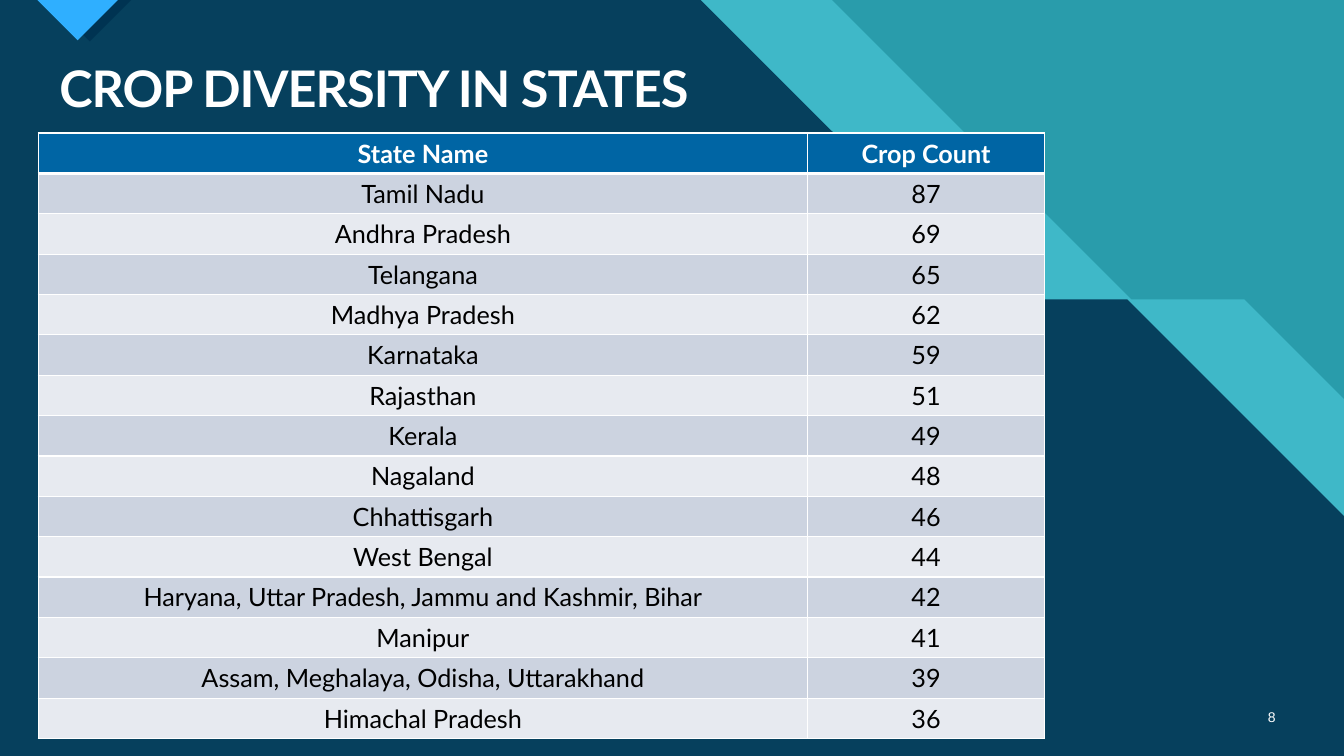
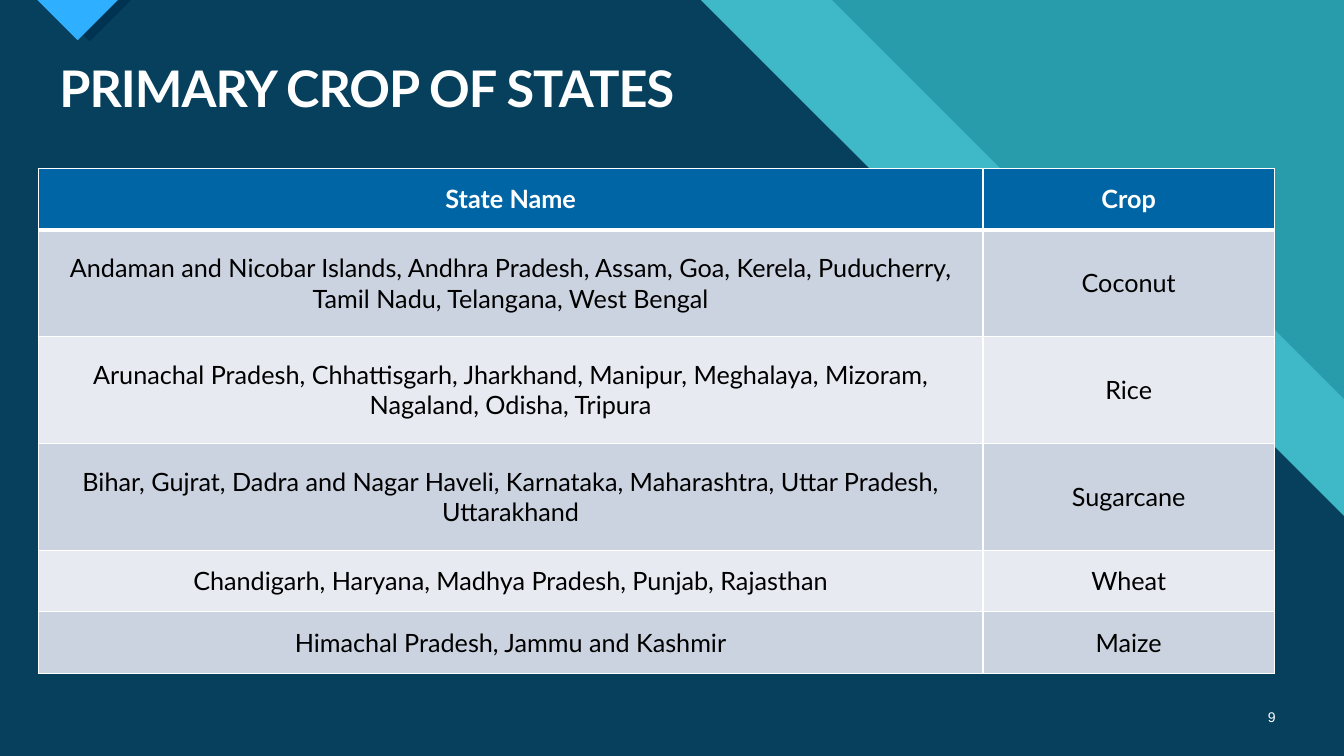
from lxml.etree import Element, SubElement
from pptx import Presentation
from pptx.dml.color import RGBColor
from pptx.enum.text import MSO_ANCHOR, PP_ALIGN
from pptx.oxml.ns import qn
from pptx.util import Inches, Pt

MIDDLE, TOP = MSO_ANCHOR.MIDDLE, MSO_ANCHOR.TOP
LEFT, CENTER, RIGHT = PP_ALIGN.LEFT, PP_ALIGN.CENTER, PP_ALIGN.RIGHT

WHITE = RGBColor(0xFF, 0xFF, 0xFF)
BLACK = RGBColor(0x00, 0x00, 0x00)
TEAL = RGBColor(0x29, 0x9C, 0xAB)
AQUA = RGBColor(0x47, 0xC3, 0xD3)
NAVY = RGBColor(0x00, 0x33, 0x52)
SKY = RGBColor(0x2F, 0xAF, 0xFF)
HEADER_BLUE = RGBColor(0x00, 0x65, 0xA4)
BAND_DARK = RGBColor(0xCC, 0xD3, 0xE0)
BAND_LIGHT = RGBColor(0xE7, 0xEA, 0xF0)

BODY_FONT, NUMBER_FONT = "Lato", "Arial"
WIDTH, HEIGHT = 13.33, 7.5
FOLD = 2.97
TITLE_BOX = (0.49, 0.59, 12.26, 0.65)
NUMBER_BOX = (12.31, 6.91, 0.44, 0.4)

CROP_COUNTS = [
    ("State Name", "Crop Count"),
    ("Tamil Nadu", "87"),
    ("Andhra Pradesh", "69"),
    ("Telangana", "65"),
    ("Madhya Pradesh", "62"),
    ("Karnataka", "59"),
    ("Rajasthan", "51"),
    ("Kerala", "49"),
    ("Nagaland", "48"),
    ("Chhattisgarh", "46"),
    ("West Bengal", "44"),
    ("Haryana, Uttar Pradesh, Jammu and Kashmir, Bihar", "42"),
    ("Manipur", "41"),
    ("Assam, Meghalaya, Odisha, Uttarakhand", "39"),
    ("Himachal Pradesh", "36"),
]
PRIMARY_CROPS = [
    ("State Name", "Crop"),
    ("Andaman and Nicobar Islands, Andhra Pradesh, Assam, Goa, Kerela, "
     "Puducherry, Tamil Nadu, Telangana, West Bengal", "Coconut"),
    ("Arunachal Pradesh, Chhattisgarh, Jharkhand, Manipur, Meghalaya, "
     "Mizoram, Nagaland, Odisha, Tripura", "Rice"),
    ("Bihar, Gujrat, Dadra and Nagar Haveli, Karnataka, Maharashtra, "
     "Uttar Pradesh, Uttarakhand", "Sugarcane"),
    ("Chandigarh, Haryana, Madhya Pradesh, Punjab, Rajasthan", "Wheat"),
    ("Himachal Pradesh, Jammu and Kashmir", "Maize"),
]


def add_run(paragraph, text, size, color, font=BODY_FONT, bold=False):
    """Append one styled run and return it."""
    run = paragraph.add_run()
    run.text = text
    run.font.name = font
    run.font.size = Pt(size)
    run.font.bold = bold
    run.font.color.rgb = color
    return run


def add_text_box(slide, box, anchor, align):
    """Add a wrapping text box and return its first paragraph."""
    frame = slide.shapes.add_textbox(*map(Inches, box)).text_frame
    frame.word_wrap = True
    frame.vertical_anchor = anchor
    paragraph = frame.paragraphs[0]
    paragraph.alignment = align
    return paragraph


def add_polygon(slide, points, color, opacity=100):
    """Draw a closed outline without a line, opacity in percent."""
    start, *rest = [(Inches(x), Inches(y)) for x, y in points]
    builder = slide.shapes.build_freeform(*start)
    builder.add_line_segments(rest, close=True)
    polygon = builder.convert_to_shape()
    polygon.shadow.inherit = False
    polygon.fill.solid()
    polygon.fill.fore_color.rgb = color
    polygon.line.fill.background()
    if opacity < 100:
        tint = polygon._element.spPr.find(qn("a:solidFill"))[0]
        SubElement(tint, qn("a:alpha")).set("val", str(opacity * 1000))


def add_folded_sheet(slide, top_edge, fold_end, color, opacity):
    """Cover the slide left of a diagonal that steps right at the fold."""
    points = [
        (0, 0), (top_edge, 0), (top_edge + FOLD, FOLD), (fold_end, FOLD),
        (WIDTH, FOLD + WIDTH - fold_end), (WIDTH, HEIGHT), (0, HEIGHT),
    ]
    add_polygon(slide, points, color, opacity)


def add_corner_tip(slide, left, depth, color):
    """Draw a downward tip hanging from the top edge."""
    add_polygon(slide, [(left, 0), (left + 2 * depth, 0),
                        (left + depth, depth)], color)


def add_backdrop(slide):
    """Paint the background, diagonal sheets and corner tip."""
    slide.background.fill.solid()
    slide.background.fill.fore_color.rgb = TEAL
    add_folded_sheet(slide, 8.25, 12.34, AQUA, 74)
    add_folded_sheet(slide, 6.95, 11.18, NAVY, 90)
    add_corner_tip(slide, 0.48, 0.41, NAVY)
    add_corner_tip(slide, 0.37, 0.4, SKY)


def add_title(slide, box, title):
    """Write the slide title."""
    paragraph = add_text_box(slide, box, TOP, LEFT)
    paragraph.line_spacing = 0.9
    run = add_run(paragraph, title, 36, WHITE, bold=True)
    run._r.get_or_add_rPr().set("spc", "-70")


def add_page_number(slide, box, number):
    """Write the page number."""
    paragraph = add_text_box(slide, box, MIDDLE, RIGHT)
    add_run(paragraph, str(number), 10, WHITE, NUMBER_FONT)


def set_borders(cell, top, bottom):
    """Give a cell white borders, with top and bottom widths in points."""
    properties = cell._tc.get_or_add_tcPr()
    widths = {"lnL": 1, "lnR": 1, "lnT": top, "lnB": bottom}
    for position, (side, width) in enumerate(widths.items()):
        border = Element(qn(f"a:{side}"), w=str(Pt(width)))
        fill = SubElement(border, qn("a:solidFill"))
        SubElement(fill, qn("a:srgbClr")).set("val", str(WHITE))
        properties.insert(position, border)


def fill_cell(cell, text, row_index):
    """Style one cell by its row and write its text."""
    header = row_index == 0
    cell.fill.solid()
    cell.fill.fore_color.rgb = (
        HEADER_BLUE if header else BAND_DARK if row_index % 2 else BAND_LIGHT)
    set_borders(cell, 3 if row_index == 1 else 1, 3 if header else 1)
    cell.vertical_anchor = MIDDLE
    paragraph = cell.text_frame.paragraphs[0]
    paragraph.alignment = CENTER
    add_run(paragraph, text, 18, WHITE if header else BLACK, bold=header)


def add_state_table(slide, left, top, widths, heights, records):
    """Place a table of states at the given corner."""
    box = (left, top, sum(widths), sum(heights))
    table = slide.shapes.add_table(
        len(records), len(widths), *map(Inches, box)).table
    table.horz_banding = False
    for column, width in zip(table.columns, widths):
        column.width = Inches(width)
    for row_index, (record, height) in enumerate(zip(records, heights)):
        table.rows[row_index].height = Inches(height)
        for column_index, text in enumerate(record):
            fill_cell(table.cell(row_index, column_index), text, row_index)


def add_table_slide(deck, number, title, top, widths, heights, records):
    """Build one slide with a title, a table and a page number."""
    slide = deck.slides.add_slide(deck.slide_layouts[6])
    add_backdrop(slide)
    add_title(slide, TITLE_BOX, title)
    add_page_number(slide, NUMBER_BOX, number)
    add_state_table(slide, 0.38, top, widths, heights, records)


def main():
    """Build and save the deck."""
    deck = Presentation()
    deck.slide_width, deck.slide_height = Inches(WIDTH), Inches(HEIGHT)
    add_table_slide(deck, 8, "CROP DIVERSITY IN STATES", 1.32, (7.63, 2.35),
                    [0.4] * len(CROP_COUNTS), CROP_COUNTS)
    add_table_slide(deck, 9, "PRIMARY CROP OF STATES", 1.67, (9.37, 2.89),
                    [0.61] + [1.06] * 3 + [0.61] * 2, PRIMARY_CROPS)
    deck.save("out.pptx")


if __name__ == "__main__":
    main()
